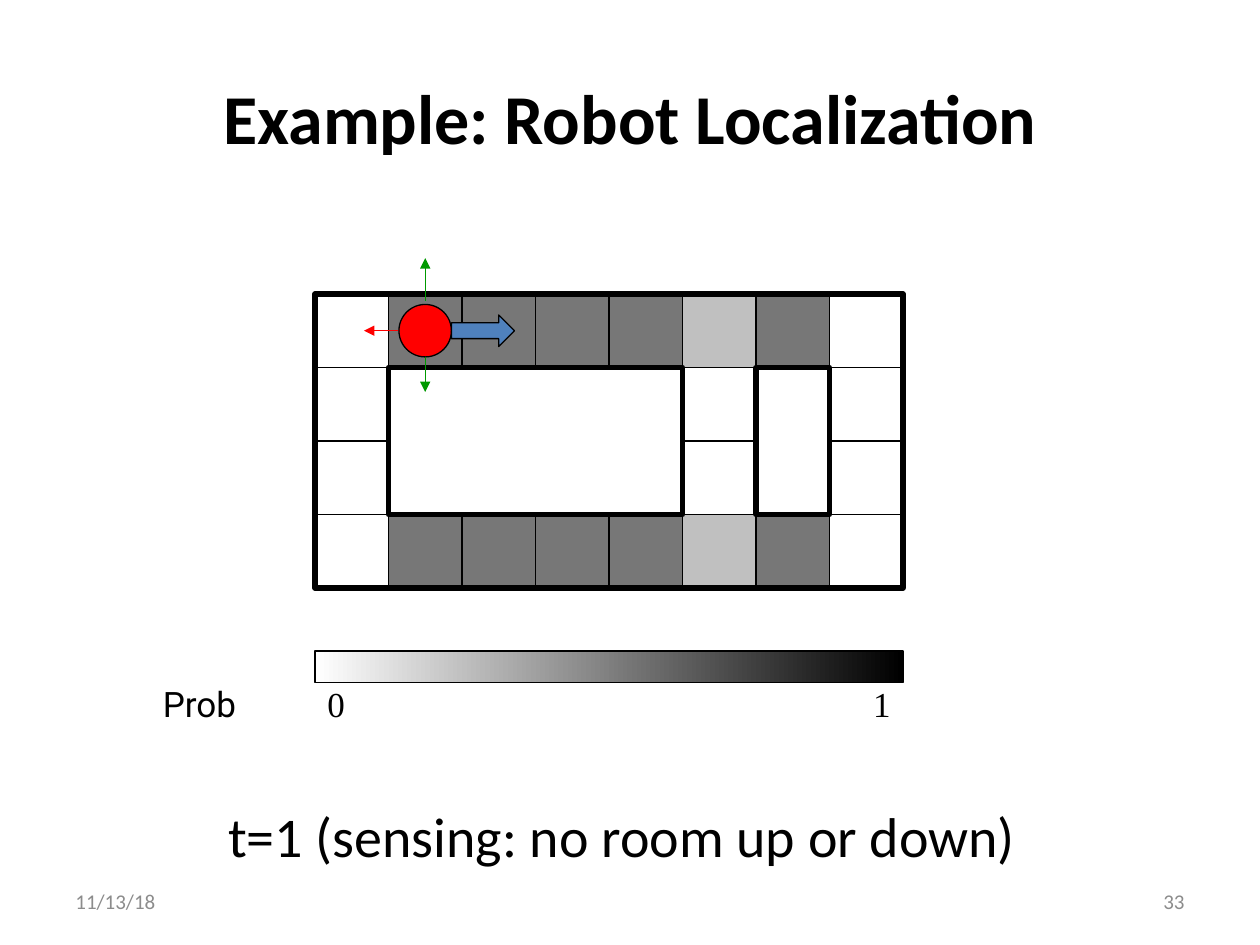
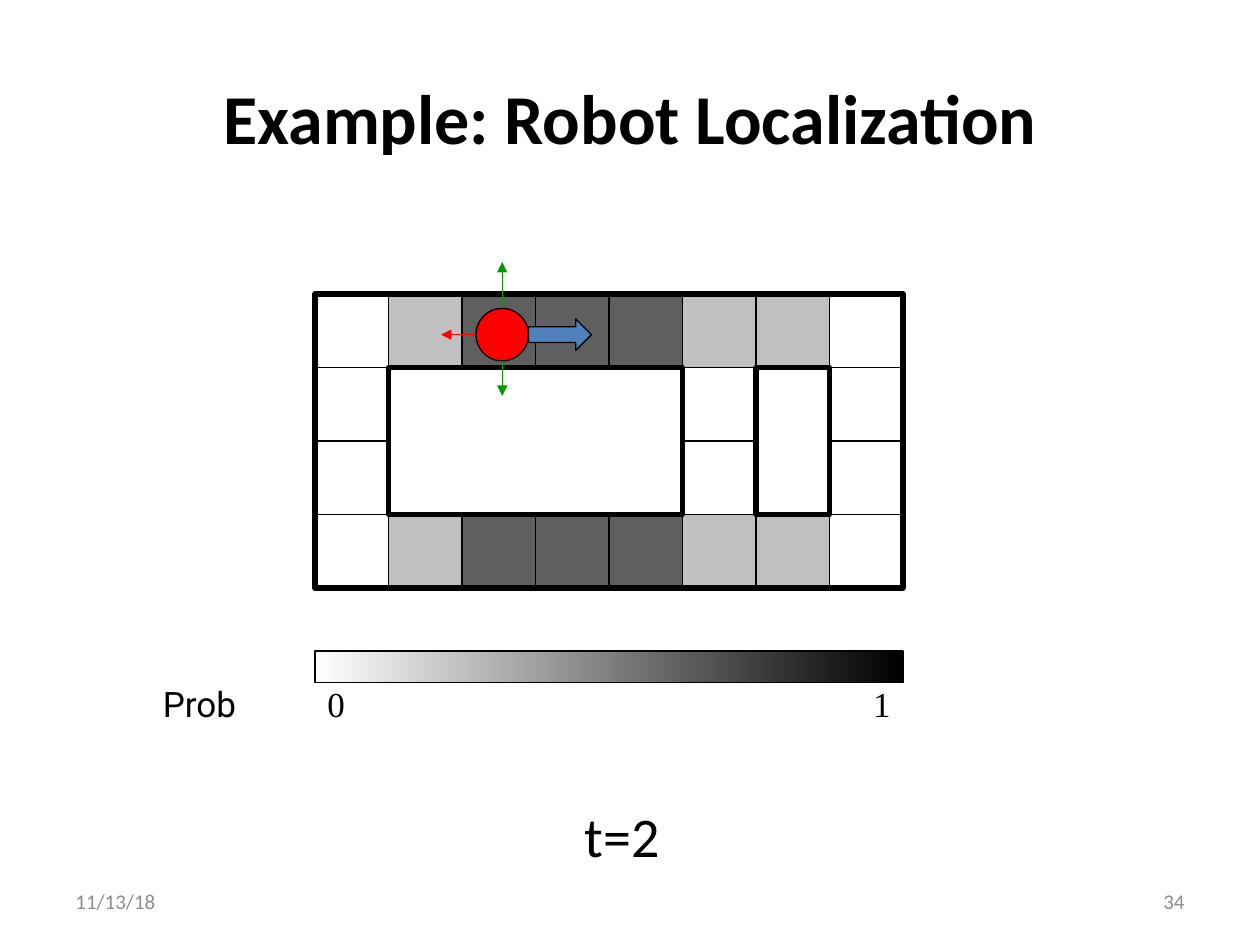
from dataclasses import dataclass

from lxml import etree
from pptx import Presentation
from pptx.dml.color import RGBColor
from pptx.enum.shapes import MSO_CONNECTOR, MSO_SHAPE
from pptx.enum.text import MSO_ANCHOR, PP_ALIGN
from pptx.oxml.ns import qn
from pptx.util import Pt

LEFT, CENTER, RIGHT = PP_ALIGN.LEFT, PP_ALIGN.CENTER, PP_ALIGN.RIGHT
TOP, MIDDLE = MSO_ANCHOR.TOP, MSO_ANCHOR.MIDDLE
RECTANGLE, OVAL, RIGHT_ARROW = MSO_SHAPE.RECTANGLE, MSO_SHAPE.OVAL, MSO_SHAPE.RIGHT_ARROW
STRAIGHT = MSO_CONNECTOR.STRAIGHT

BLACK, WHITE = "000000", "FFFFFF"
LIGHT, MEDIUM, DARK = "C0C0C0", "777777", "5F5F5F"
FOOTER_GREY, RED, GREEN, BLUE = "8C8C8C", "FF0000", "009900", "4F81BD"
SANS, LABEL_SANS, SERIF = "Calibri", "Roboto", "Times New Roman"

THIN, THICK = 0.75, 3
CELL = 42
MAP_LEFT, MAP_TOP, MAP_COLUMNS, MAP_ROWS = 180, 168, 8, 4
CORRIDOR_COLUMNS = (0, 5, 7)
ROBOT_RADIUS = 15
SCALE_TOP = 372


@dataclass(frozen=True)
class Box:
    left: float
    top: float
    width: float
    height: float

    def lengths(self) -> tuple:
        return Pt(self.left), Pt(self.top), Pt(self.width), Pt(self.height)


@dataclass(frozen=True)
class TextStyle:
    size: float
    font: str = SANS
    color: str = BLACK
    align: PP_ALIGN = LEFT
    bold: bool = False
    anchor: MSO_ANCHOR = MIDDLE
    wrap: bool = True


@dataclass(frozen=True)
class Sensor:
    """A ray from the robot; offsets are measured from its centre."""
    start: tuple[float, float]
    end: tuple[float, float]
    color: str


@dataclass(frozen=True)
class Step:
    caption: str
    number: str
    room_fills: tuple[str, ...]
    robot_center: tuple[float, float]


TITLE_STYLE = TextStyle(40, align=CENTER, bold=True)
CAPTION_STYLE = TextStyle(32, align=CENTER, anchor=TOP)
DATE_STYLE = TextStyle(12, color=FOOTER_GREY)
NUMBER_STYLE = TextStyle(12, color=FOOTER_GREY, align=RIGHT)

SCALE_LABELS = (
    ("1", Box(348, 390, 168, 24), TextStyle(20, SERIF, align=RIGHT, wrap=False)),
    ("0", Box(180, 390, 168, 24), TextStyle(20, SERIF, wrap=False)),
    ("Prob", Box(60, 390, 108, 24), TextStyle(20, LABEL_SANS, align=CENTER, wrap=False)),
)
SENSORS = (
    Sensor((0, -17), (0, -41.5), GREEN),
    Sensor((0, 15), (0, 35), GREEN),
    Sensor((-15.5, 0), (-35, 0), RED),
)
STEPS = (
    Step("t=1 (sensing: no room up or down)", "33",
         (MEDIUM, MEDIUM, MEDIUM, MEDIUM, LIGHT, MEDIUM), (243, 189)),
    Step("t=2", "34",
         (LIGHT, DARK, DARK, DARK, LIGHT, LIGHT), (287, 191.25)),
)


def rgb(color: str) -> RGBColor:
    return RGBColor.from_string(color)


def add_text(page, text: str, box: Box, style: TextStyle):
    frame = page.shapes.add_textbox(*box.lengths()).text_frame
    frame.word_wrap = style.wrap
    frame.vertical_anchor = style.anchor
    para = frame.paragraphs[0]
    para.text = text
    para.alignment = style.align
    span = para.runs[0]
    span.font.name = style.font
    span.font.size = Pt(style.size)
    span.font.bold = style.bold
    span.font.color.rgb = rgb(style.color)
    return para


def add_outlined(page, kind: MSO_SHAPE, box: Box, fill: str | None = None,
                 weight: float = THIN):
    shape = page.shapes.add_shape(kind, *box.lengths())
    shape.shadow.inherit = False
    if fill is None:
        shape.fill.background()
    else:
        shape.fill.solid()
        shape.fill.fore_color.rgb = rgb(fill)
    shape.line.color.rgb = rgb(BLACK)
    shape.line.width = Pt(weight)
    return shape


def add_arrow(page, start: tuple[float, float], end: tuple[float, float], color: str) -> None:
    arrow = page.shapes.add_connector(
        STRAIGHT, Pt(start[0]), Pt(start[1]), Pt(end[0]), Pt(end[1]))
    arrow.line.color.rgb = rgb(color)
    arrow.line.width = Pt(THIN)
    etree.SubElement(arrow.line._get_or_add_ln(), qn("a:tailEnd"), type="triangle")
    etree.SubElement(arrow._element.spPr, qn("a:effectLst"))


def cell_box(column: int, row: int, columns: int = 1, rows: int = 1) -> Box:
    return Box(MAP_LEFT + column * CELL, MAP_TOP + row * CELL, columns * CELL, rows * CELL)


def draw_map(page, room_fills: tuple[str, ...]) -> None:
    hallway = (None, *room_fills, None)
    for row in range(MAP_ROWS):
        for column in range(MAP_COLUMNS):
            if row in (0, MAP_ROWS - 1):
                add_outlined(page, RECTANGLE, cell_box(column, row), hallway[column])
            elif column in CORRIDOR_COLUMNS:
                add_outlined(page, RECTANGLE, cell_box(column, row))
    add_outlined(page, RECTANGLE, cell_box(1, 1, 4, 2), WHITE, THICK)
    add_outlined(page, RECTANGLE, cell_box(0, 0, MAP_COLUMNS, MAP_ROWS), weight=THICK)
    add_outlined(page, RECTANGLE, cell_box(6, 1, 1, 2), weight=THICK)


def draw_robot(page, center: tuple[float, float]) -> None:
    x, y = center
    add_outlined(page, OVAL, Box(x - ROBOT_RADIUS, y - ROBOT_RADIUS,
                                 2 * ROBOT_RADIUS, 2 * ROBOT_RADIUS), RED)
    for sensor in SENSORS:
        add_arrow(page, (x + sensor.start[0], y + sensor.start[1]),
                  (x + sensor.end[0], y + sensor.end[1]), sensor.color)
    add_outlined(page, RIGHT_ARROW, Box(x + ROBOT_RADIUS, y - 9, 36, 18), BLUE)


def draw_probability_scale(page) -> None:
    scale = add_outlined(page, RECTANGLE,
                         Box(MAP_LEFT, SCALE_TOP, MAP_COLUMNS * CELL, 18))
    scale.fill.gradient()
    scale.fill.gradient_angle = 0
    for stop, color in zip(scale.fill.gradient_stops, (WHITE, BLACK)):
        stop.color.rgb = rgb(color)
    for text, box, style in SCALE_LABELS:
        add_text(page, text, box, style)


def draw_step(page, step: Step) -> None:
    add_text(page, "Example: Robot Localization", Box(36, 21.6, 648, 90), TITLE_STYLE)
    caption = add_text(page, step.caption, Box(49.5, 454.5, 612, 72), CAPTION_STYLE)
    caption.space_before = Pt(2)
    add_text(page, "11/13/18", Box(36, 500.5, 168, 28.8), DATE_STYLE)
    add_text(page, step.number, Box(516, 500.5, 168, 28.8), NUMBER_STYLE)
    draw_map(page, step.room_fills)
    draw_probability_scale(page)
    draw_robot(page, step.robot_center)


def main() -> None:
    deck = Presentation()
    deck.slide_width, deck.slide_height = Pt(720), Pt(540)
    blank = deck.slide_layouts[6]
    for step in STEPS:
        draw_step(deck.slides.add_slide(blank), step)
    deck.save("out.pptx")


if __name__ == "__main__":
    main()
